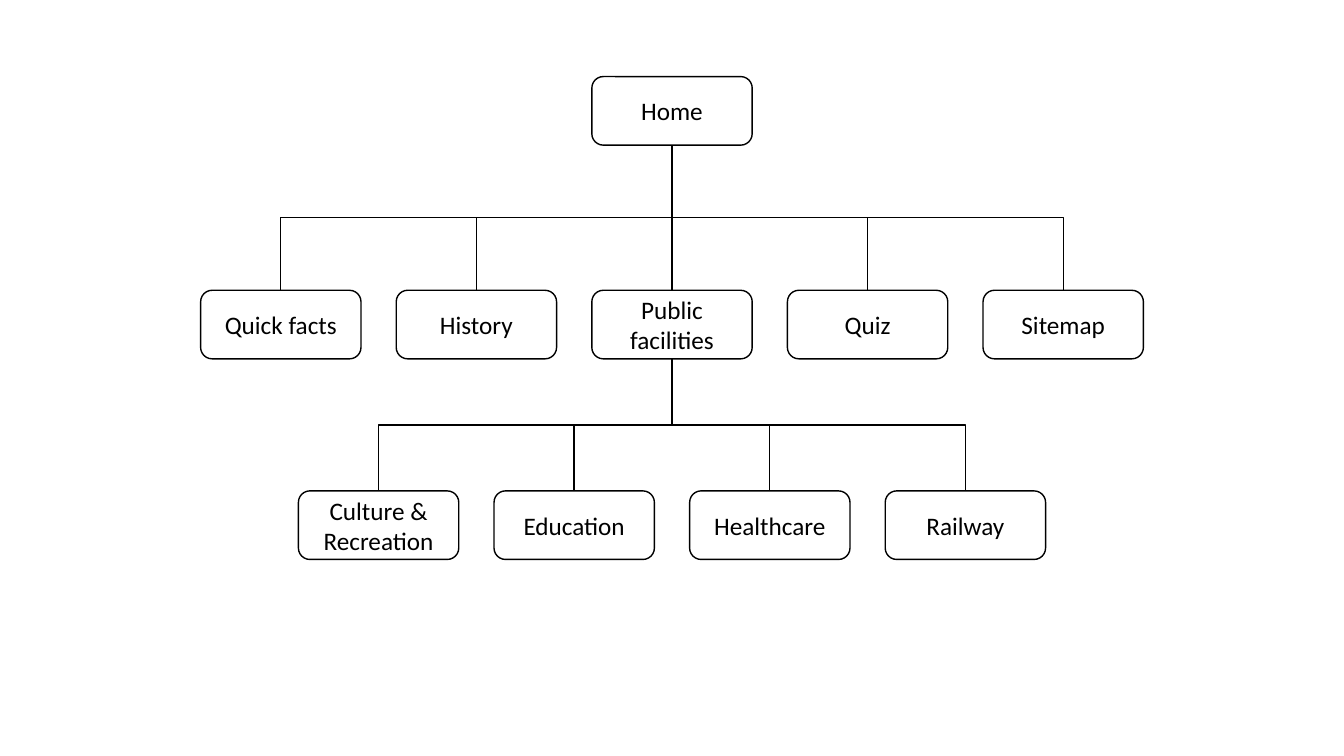
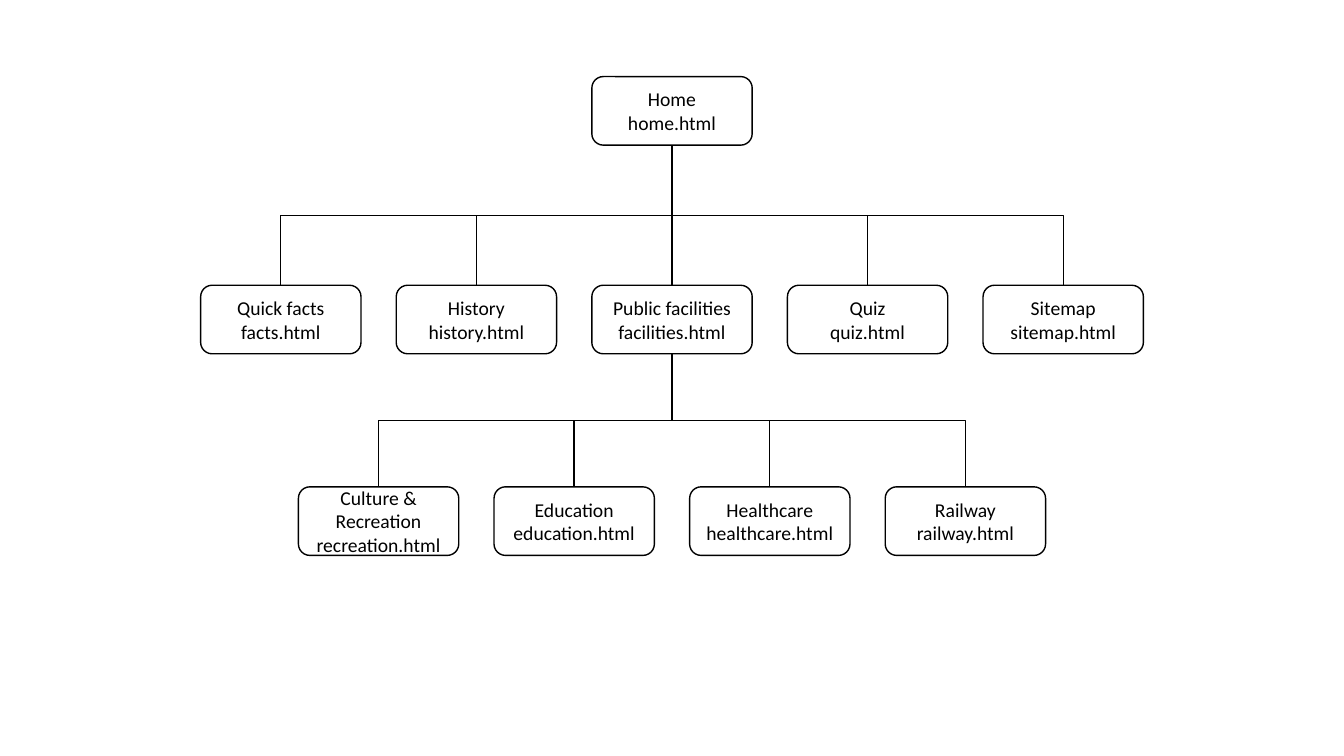
from lxml.etree import SubElement
from pptx import Presentation
from pptx.dml.color import RGBColor
from pptx.enum.shapes import MSO_CONNECTOR, MSO_SHAPE
from pptx.enum.text import MSO_ANCHOR, PP_ALIGN
from pptx.oxml.ns import qn
from pptx.util import Inches, Pt

BLACK = RGBColor(0x00, 0x00, 0x00)
WHITE = RGBColor(0xFF, 0xFF, 0xFF)

SLIDE_WIDTH, SLIDE_HEIGHT = Inches(13.33), Inches(7.5)
PAGE_WIDTH, PAGE_HEIGHT = Inches(1.59), Inches(0.68)
COLUMN_PITCH = Inches(1.94)
TOP, BOTTOM = 0, 2  # connection sites

# Site map levels: page title and file name
HOME = [("Home", "home.html")]
SECTIONS = [
    ("Quick facts", "facts.html"),
    ("History", "history.html"),
    ("Public facilities", "facilities.html"),
    ("Quiz", "quiz.html"),
    ("Sitemap", "sitemap.html"),
]
FACILITIES = [
    ("Culture & Recreation", "recreation.html"),
    ("Education", "education.html"),
    ("Healthcare", "healthcare.html"),
    ("Railway", "railway.html"),
]


def set_line(line):
    line.color.rgb = BLACK
    line.width = Pt(1)


def add_page(slide, left, top, lines, font_size):
    """One rounded box with a paragraph for each line."""
    page = slide.shapes.add_shape(
        MSO_SHAPE.ROUNDED_RECTANGLE, left, top, PAGE_WIDTH, PAGE_HEIGHT)
    page.shadow.inherit = False
    page.fill.solid()
    page.fill.fore_color.rgb = WHITE
    set_line(page.line)
    frame = page.text_frame
    frame.word_wrap = True
    frame.vertical_anchor = MSO_ANCHOR.MIDDLE
    font_format = {"name": "Calibri", "size": Pt(font_size)}
    for index, text in enumerate(lines):
        paragraph = frame.add_paragraph() if index else frame.paragraphs[0]
        paragraph.alignment = PP_ALIGN.CENTER
        run = paragraph.add_run()
        run.text = text
        for attribute, value in font_format.items():
            setattr(run.font, attribute, value)
        run.font.color.rgb = BLACK
    return page


def add_level(slide, top, pages, font_size, with_files):
    """A row of equally spaced pages, centred on the slide."""
    row_width = (len(pages) - 1) * COLUMN_PITCH + PAGE_WIDTH
    row_left = (SLIDE_WIDTH - row_width) // 2
    return [
        add_page(slide, row_left + column * COLUMN_PITCH, top,
                 page if with_files else page[:1], font_size)
        for column, page in enumerate(pages)
    ]


def add_branch(slide, parent, child):
    """A line from the parent's bottom to the child's top."""
    start_x = parent.left + PAGE_WIDTH // 2
    start_y = parent.top + PAGE_HEIGHT
    end_x, end_y = child.left + PAGE_WIDTH // 2, child.top
    across, down = end_x - start_x, end_y - start_y
    kind = MSO_CONNECTOR.ELBOW if across else MSO_CONNECTOR.STRAIGHT
    branch = slide.shapes.add_connector(kind, start_x, start_y, end_x, end_y)
    branch.begin_connect(parent, BOTTOM)
    branch.end_connect(child, TOP)
    set_line(branch.line)
    properties = branch._element.spPr
    SubElement(properties, qn("a:effectLst"))
    if across:
        # Turn the elbow a quarter so that it leaves downwards
        branch.width, branch.height = down, abs(across)
        branch.left = (start_x + end_x - down) // 2
        branch.top = (start_y + end_y - abs(across)) // 2
        transform = properties.find(qn("a:xfrm"))
        transform.set("rot", "16200000" if across > 0 else "5400000")
        transform.set("flipH", "1" if across > 0 else "0")


def add_site_map(prs, level_tops, font_size, with_files):
    """A slide with the three levels and their branches."""
    slide = prs.slides.add_slide(prs.slide_layouts[6])
    home, sections, facilities = [
        add_level(slide, Inches(top), pages, font_size, with_files)
        for top, pages in zip(level_tops, (HOME, SECTIONS, FACILITIES))
    ]
    public_facilities = sections[2]
    for parent, children in ((home[0], sections),
                             (public_facilities, facilities)):
        for child in children:
            add_branch(slide, parent, child)


def main():
    prs = Presentation()
    prs.slide_width, prs.slide_height = SLIDE_WIDTH, SLIDE_HEIGHT
    add_site_map(prs, (0.76, 2.88, 4.87), 18, with_files=False)
    add_site_map(prs, (0.76, 2.83, 4.83), 14, with_files=True)
    prs.save("out.pptx")


if __name__ == "__main__":
    main()
